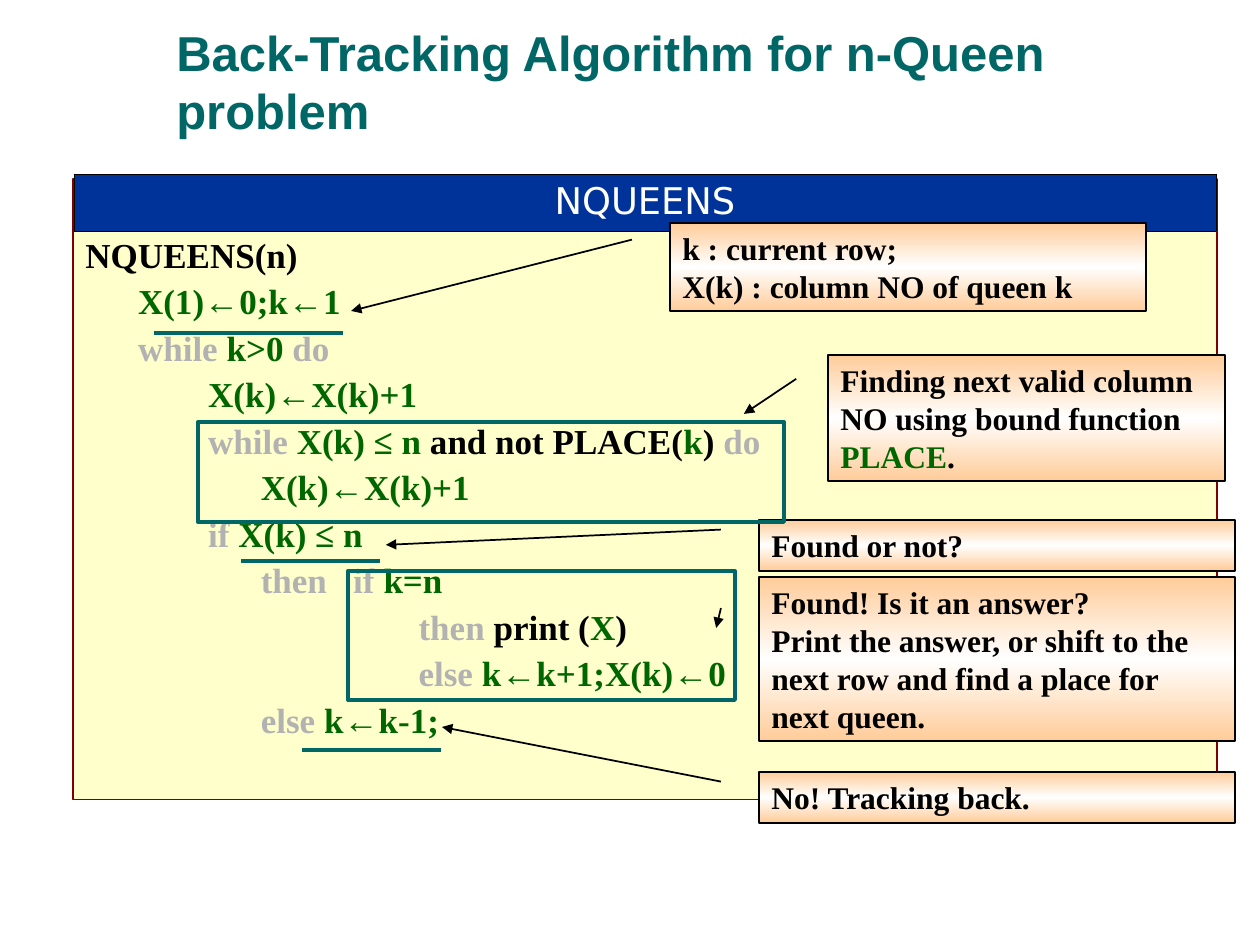
from dataclasses import dataclass

from lxml import etree
from pptx import Presentation
from pptx.dml.color import RGBColor
from pptx.enum import shapes, text
from pptx.oxml.ns import qn
from pptx.util import Pt

PX = 914400 // 126  # EMU per px
ARROW = "←"


@dataclass(frozen=True)
class Theme:
    teal: str = "006666"
    green: str = "006600"
    grey: str = "B2B2B2"
    black: str = "000000"
    white: str = "FFFFFF"
    navy: str = "003399"
    cream: str = "FFFFCC"
    maroon: str = "800000"
    peach: str = "FFCC99"
    sans: str = "Arial"
    serif: str = "Times New Roman"
    header: str = "DejaVu Sans"
    title_size: int = 28
    header_size: int = 21
    code_size: int = 20
    note_size: int = 18


THEME = Theme()
INK = {"g": THEME.green, "w": THEME.grey, "b": THEME.black}

# Each code line: leading spaces, then (ink, words) pairs
CODE = [
    (0, [("b", "NQUEENS(n)")]),
    (6, [("g", "X(1)←0;k←1")]),
    (6, [("w", "while "), ("g", "k>0 "), ("w", "do")]),
    (14, [("g", "X(k)←X(k)+1")]),
    (14, [("w", "while "), ("g", "X(k) ≤ n"), ("b", " and not PLACE("),
          ("g", "k"), ("b", ") "), ("w", "do")]),
    (20, [("g", "X(k)←X(k)+1")]),
    (14, [("w", "if "), ("g", "X(k) ≤ n")]),
    (20, [("w", "then   if "), ("g", "k=n")]),
    (38, [("w", "then"), ("b", " print ("), ("g", "X"), ("b", ")")]),
    (38, [("w", "else "), ("g", "k←k+1;X(k)←0")]),
    (20, [("w", "else"), ("g", " k←k-1;")]),
]

# Each note: box, pointer tip (both relative to the panel), paragraphs
NOTES = [
    ((597, 44, 476, 88), (278, 132),
     [[("b", "k : current row;")], [("b", "X(k) : column NO of queen k")]]),
    ((755, 176, 397, 126), (671, 235),
     [[("b", "Finding next valid column NO using bound function "),
       ("g", "PLACE"), ("b", ".")]]),
    ((686, 398, 476, 164), (643, 449),
     [[("b", "Found! Is it an answer?")],
      [("b", "Print the answer, or shift to the next row and find a place "
             "for next queen.")]]),
    ((686, 341, 476, 51), (313, 366)),
    ((686, 593, 476, 51), (369, 548)),
]
NOTES[3] += ([[("b", "Found or not?")]],)
NOTES[4] += ([[("b", "No! Tracking back.")]],)

FRAMES = [(125, 243, 586, 100), (275, 392, 387, 129)]
UNDERLINES = [(81, 154, 189), (168, 382, 139), (229, 571, 139)]


def rgb(value):
    return RGBColor.from_string(value)


def emu(*lengths):
    return [length * PX for length in lengths]


def inside(box, part):
    return box[0] + part[0], box[1] + part[1], *part[2:]


def set_line(part, color, width):
    part.line.color.rgb = rgb(color)
    part.line.width = Pt(width)


def set_font(para, name, size, bold=True):
    para.font.name, para.font.size, para.font.bold = name, Pt(size), bold


def add_spans(para, pairs):
    """Add coloured spans, with every arrow sign in the sans font."""
    for ink, words in pairs:
        for piece in words.replace(ARROW, f"\n{ARROW}\n").split("\n"):
            if piece:
                span = para.add_run()
                span.text = piece
                span.font.color.rgb = rgb(INK[ink])
                if piece == ARROW:
                    span.font.name = THEME.sans


def add_paragraphs(frame, lines, size):
    frame.word_wrap = True
    for number, pairs in enumerate(lines):
        para = frame.paragraphs[0] if number == 0 else frame.add_paragraph()
        para.alignment = text.PP_ALIGN.LEFT
        set_font(para, THEME.serif, size)
        add_spans(para, pairs)


def add_box(page, kind, box):
    part = page.shapes.add_shape(kind, *emu(*box))
    part.shadow.inherit = False
    return part


def add_title(page, box):
    frame = page.shapes.add_textbox(*emu(*box)).text_frame
    frame.word_wrap = True
    frame.vertical_anchor = text.MSO_ANCHOR.BOTTOM
    para = frame.paragraphs[0]
    para.text = "Back-Tracking Algorithm for n-Queen problem"
    set_font(para, THEME.sans, THEME.title_size)
    para.font.color.rgb = rgb(THEME.teal)


def add_code(page, box):
    panel = add_box(page, shapes.MSO_SHAPE.RECTANGLE, box)
    panel.fill.solid()
    panel.fill.fore_color.rgb = rgb(THEME.cream)
    set_line(panel, THEME.maroon, 0.75)
    frame = panel.text_frame
    frame.vertical_anchor = text.MSO_ANCHOR.MIDDLE
    lines = [[("b", " " * indent), *pairs] for indent, pairs in CODE]
    add_paragraphs(frame, lines, THEME.code_size)
    for number, para in enumerate(frame.paragraphs):
        para.line_spacing = 0.9
        para.space_before = Pt(5 if number else 0)


def add_header(page, box):
    table = page.shapes.add_table(1, 1, *emu(*box)).table
    table.first_row = table.horz_banding = False
    cell = table.cell(0, 0)
    # Cell borders come before the fill in the cell properties
    for side in ("lnL", "lnR", "lnT", "lnB"):
        edge = etree.SubElement(cell._tc.get_or_add_tcPr(), qn(f"a:{side}"),
                                w=str(Pt(0.45)))
        fill = etree.SubElement(edge, qn("a:solidFill"))
        etree.SubElement(fill, qn("a:srgbClr"), val=THEME.black)
    cell.fill.solid()
    cell.fill.fore_color.rgb = rgb(THEME.navy)
    para = cell.text_frame.paragraphs[0]
    para.text = "NQUEENS"
    para.alignment = text.PP_ALIGN.CENTER
    set_font(para, THEME.header, THEME.header_size, bold=False)
    para.font.color.rgb = rgb(THEME.white)


def add_note(page, box, tip, lines):
    left, top, width, height = box
    note = add_box(page, shapes.MSO_SHAPE.LINE_CALLOUT_1, box)
    pointer = (0.19, -0.08, (tip[1] - top) / height, (tip[0] - left) / width)
    for number, value in enumerate(pointer):
        note.adjustments[number] = round(value, 3)
    # Peach at both edges, white in the middle
    note.fill.gradient()
    note.fill.gradient_angle = 270
    stops = note.fill._fill._gradFill.find(qn("a:gsLst"))
    for stop in list(stops):
        stops.remove(stop)
    for place, color in ((0, THEME.peach), (50, THEME.white), (100, THEME.peach)):
        stop = etree.SubElement(stops, qn("a:gs"), pos=str(place * 1000))
        etree.SubElement(stop, qn("a:srgbClr"), val=color)
    set_line(note, THEME.black, 1)
    etree.SubElement(note.line._get_or_add_ln(), qn("a:tailEnd"), type="triangle")
    note.text_frame.vertical_anchor = text.MSO_ANCHOR.TOP
    add_paragraphs(note.text_frame, lines, THEME.note_size)


def add_marks(page, box):
    for frame in FRAMES:
        mark = add_box(page, shapes.MSO_SHAPE.RECTANGLE, inside(box, frame))
        mark.fill.background()
        set_line(mark, THEME.teal, 2.25)
    for underline in UNDERLINES:
        left, top, width = inside(box, underline)
        mark = page.shapes.add_connector(
            shapes.MSO_CONNECTOR.STRAIGHT, *emu(left, top, left + width, top))
        set_line(mark, THEME.teal, 2.25)
        etree.SubElement(mark._element.spPr, qn("a:effectLst"))


def main():
    deck = Presentation()
    deck.slide_width, deck.slide_height = emu(1260, 945)
    page = deck.slides.add_slide(deck.slide_layouts[6])
    panel = (73, 179, 1144, 621)
    add_title(page, (164, 21, 1096, 125))
    add_code(page, panel)
    add_header(page, inside(panel, (1, -5, 1142, 57)))
    for box, tip, lines in NOTES:
        add_note(page, inside(panel, box), inside(panel, tip), lines)
    add_marks(page, panel)
    deck.save("out.pptx")


if __name__ == "__main__":
    main()
